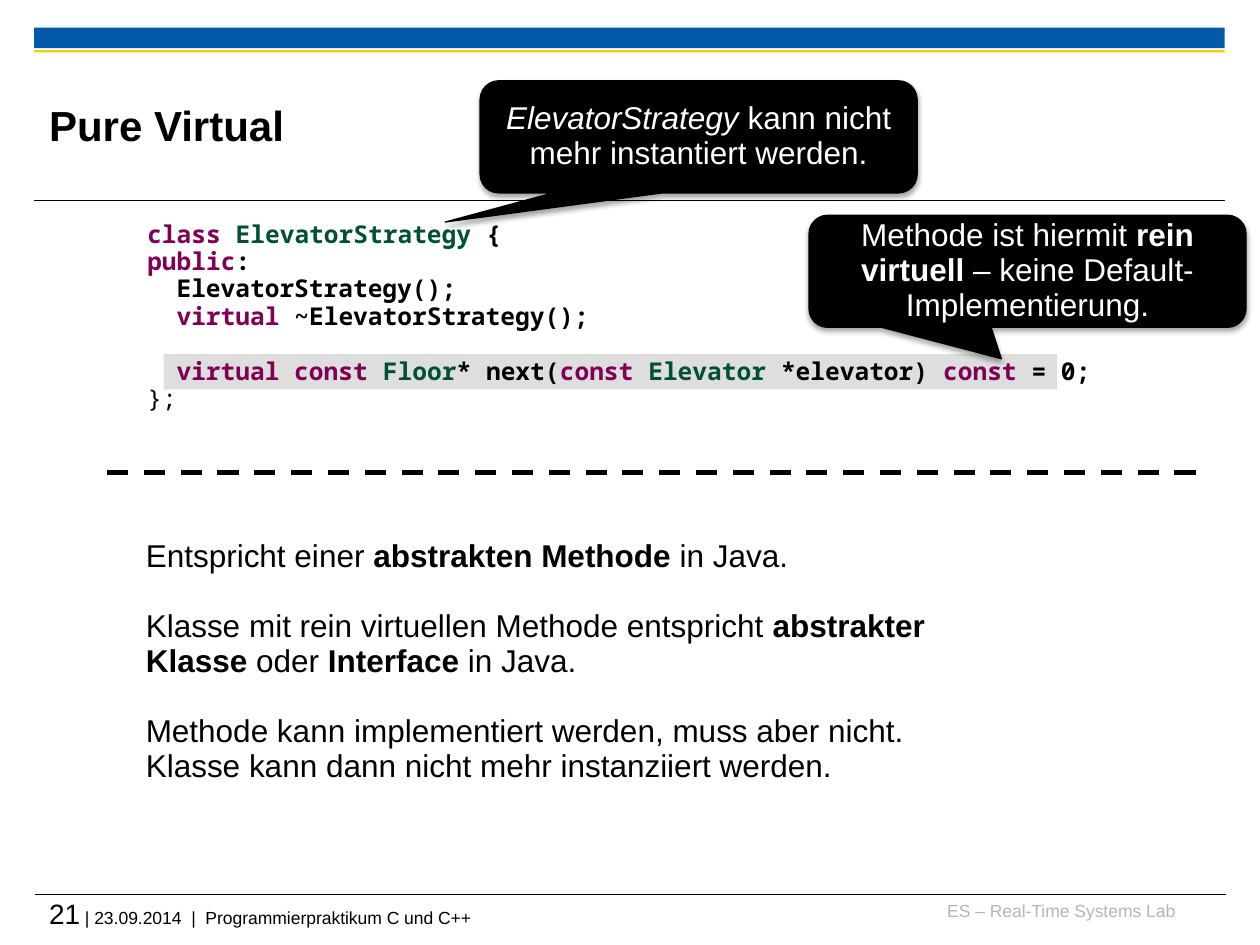
from dataclasses import dataclass

from lxml import etree
from pptx import Presentation
from pptx.dml.color import RGBColor
from pptx.enum.dml import MSO_LINE
from pptx.enum.shapes import MSO_CONNECTOR, MSO_SHAPE
from pptx.enum.text import MSO_ANCHOR, MSO_AUTO_SIZE, PP_ALIGN
from pptx.oxml import parse_xml
from pptx.oxml.ns import nsdecls, qn
from pptx.util import Cm, Pt

RECT = MSO_SHAPE.RECTANGLE
BUBBLE = MSO_SHAPE.ROUNDED_RECTANGULAR_CALLOUT
LINE = MSO_CONNECTOR.STRAIGHT
DASH = MSO_LINE.DASH
MIDDLE, TOP = MSO_ANCHOR.MIDDLE, MSO_ANCHOR.TOP
LEFT, CENTER, RIGHT = PP_ALIGN.LEFT, PP_ALIGN.CENTER, PP_ALIGN.RIGHT
FIXED = MSO_AUTO_SIZE.NONE


@dataclass(frozen=True)
class Theme:
    black: str = "000000"
    white: str = "FFFFFF"
    blue: str = "005AA9"
    gold: str = "FDCA00"
    gray: str = "B5B5B5"
    mark: str = "BFBFBF"
    key: str = "7F0055"
    type: str = "005032"
    sans: str = "Arial"
    mono: str = "Noto Sans Mono"
    head: int = 24
    text: int = 18
    page: int = 16
    code: int = 14
    foot: int = 10


T = Theme()
STYLES = {
    "b": {"bold": True},
    "i": {"italic": True},
    "k": {"color": T.key},
    "t": {"color": T.type},
    "n": {"size": T.page},
}


def write(frame, runs, size=T.text, font=T.sans, color=T.black, bold=False,
          align=LEFT, spacing=1.0, gap=0, indent=0):
    """Add one paragraph; each run is plain text or a (text, style key) pair."""
    para = frame.paragraphs[0]
    if para.runs:
        para = frame.add_paragraph()
    para.alignment = align
    para.line_spacing = spacing
    para.space_before = Pt(gap)
    if indent:
        para._p.get_or_add_pPr().set("marL", str(Cm(indent)))
    for item in runs:
        text, key = (item, "") if isinstance(item, str) else item
        look = {"size": size, "color": color, "bold": bold, "italic": False}
        look.update(STYLES.get(key, {}))
        run = para.add_run()
        run.text = text
        run.font.name = font
        run.font.size = Pt(look["size"])
        run.font.bold = look["bold"]
        run.font.italic = look["italic"]
        run.font.color.rgb = RGBColor.from_string(look["color"])


def setup(frame, anchor=TOP, flush=False):
    """Wrap the text, set its anchor and, if flush, drop the insets."""
    frame.word_wrap = True
    frame.auto_size = FIXED
    frame.vertical_anchor = anchor
    if flush:
        frame.margin_left = frame.margin_right = 0
        frame.margin_top = frame.margin_bottom = 0
    return frame


deck = Presentation()
deck.slide_width, deck.slide_height = Cm(25.4), Cm(19.05)
slide = deck.slides.add_slide(deck.slide_layouts[5])
shapes = slide.shapes

# Header bars and the highlight behind the pure virtual method
bars = [
    (0.69, 0.56, 24, 0.41, T.blue),
    (0.69, 1.01, 24, 0.05, T.gold),
    (3.3, 7.14, 18.01, 0.71, T.mark),
]
for *area, color in bars:
    bar = shapes.add_shape(RECT, *map(Cm, area))
    bar.shadow.inherit = False
    bar.fill.solid()
    bar.fill.fore_color.rgb = RGBColor.from_string(color)
    bar.line.fill.background()
tint = bar.fill._xPr.find(".//" + qn("a:srgbClr"))
etree.SubElement(tint, qn("a:alpha"), val="50000")

# Rules and the dashed divider
rules = [
    (0.69, 24.69, 4.04, 0.6, None),
    (0.71, 24.71, 18.03, 0.6, None),
    (24.1, 1.91, 9.53, 3, DASH),
]
for start, end, y, width, dash in rules:
    rule = shapes.add_connector(LINE, Cm(start), Cm(y), Cm(end), Cm(y))
    rule.line.color.rgb = RGBColor.from_string(T.black)
    rule.line.width = Pt(width)
    if dash:
        rule.line.dash_style = dash
    etree.SubElement(rule._element.spPr, qn("a:effectLst"))

# Title
title = shapes.title
title.left, title.top = Cm(0.99), Cm(1.35)
title.width, title.height = Cm(19.1), Cm(2.34)
write(setup(title.text_frame, MIDDLE, True), ["Pure Virtual"], size=T.head, bold=True)

# Footer
lab = shapes.add_textbox(Cm(18.69), Cm(18.14), Cm(5), Cm(0.64))
write(setup(lab.text_frame, flush=True), ["ES – Real-Time Systems Lab"],
      size=T.foot, color=T.gray, align=RIGHT)
foot = shapes.add_textbox(Cm(0.99), Cm(18.08), Cm(23.7), Cm(0.84))
write(setup(foot.text_frame, flush=True),
      [("21", "n"), " | 23.09.2014  |  Programmierpraktikum C und C++"], size=T.foot)

# Explanation: gap before the paragraph, runs
notes = [
    (0, ["Entspricht einer ", ("abstrakten Methode ", "b"), "in Java."]),
    (20, ["Klasse mit rein virtuellen Methode entspricht ",
          ("abstrakter Klasse", "b"), " oder ", ("Interface", "b"), " in Java."]),
    (20, ["Methode kann implementiert werden, muss aber nicht."]),
    (0, ["Klasse kann dann nicht mehr instanziiert werden."]),
]
body = setup(shapes.add_textbox(Cm(2.69), Cm(10.74), Cm(16.21), Cm(5.26)).text_frame)
for gap, runs in notes:
    write(body, runs, spacing=0.93, gap=gap)

# Code: gap, indent, bold, runs
STEP = 0.59
code = [
    (0, 0, True, [("class ", "k"), ("ElevatorStrategy", "t"), " {"]),
    (0, 0, True, [("public", "k"), ":"]),
    (0, STEP, True, ["ElevatorStrategy();"]),
    (0, STEP, True, [("virtual", "k"), " ~ElevatorStrategy();"]),
    (15.7, STEP, True, [("virtual const ", "k"), ("Floor", "t"), "* next(",
                        ("const ", "k"), ("Elevator ", "t"), "*elevator) ",
                        ("const", "k"), " = 0;"]),
    (0, 0, False, ["};"]),
]
block = setup(shapes.add_textbox(Cm(2.72), Cm(4.34), Cm(22.76), Cm(4.17)).text_frame)
for gap, indent, bold, runs in code:
    write(block, runs, size=T.code, font=T.mono, bold=bold, spacing=0.93,
          gap=gap, indent=indent)

# Callouts: position, pointer tip, runs
calls = [
    (16.31, 4.34, (-0.06, 0.78),
     ["Methode ist hiermit ", ("rein virtuell", "b"), " – keine Default-Implementierung."]),
    (9.68, 1.63, (-0.58, 0.76),
     [("ElevatorStrategy ", "i"), "kann nicht mehr instantiert werden."]),
]
for x, y, tip, runs in calls:
    call = shapes.add_shape(BUBBLE, Cm(x), Cm(y), Cm(8.81), Cm(2.26))
    call.adjustments[0], call.adjustments[1] = tip
    call.fill.solid()
    call.fill.fore_color.rgb = RGBColor.from_string(T.black)
    call.line.color.rgb = RGBColor.from_string(T.black)
    call.line.width = Pt(0.75)
    call._element.spPr.append(parse_xml(
        f'<a:effectLst {nsdecls("a")}><a:outerShdw blurRad="{Pt(3.1)}" '
        f'dist="{Pt(1.8)}" dir="5400000" rotWithShape="0"><a:srgbClr val="{T.black}">'
        '<a:alpha val="35000"/></a:srgbClr></a:outerShdw></a:effectLst>'))
    write(setup(call.text_frame, MIDDLE), runs, color=T.white, align=CENTER, spacing=0.93)

deck.save("out.pptx")
